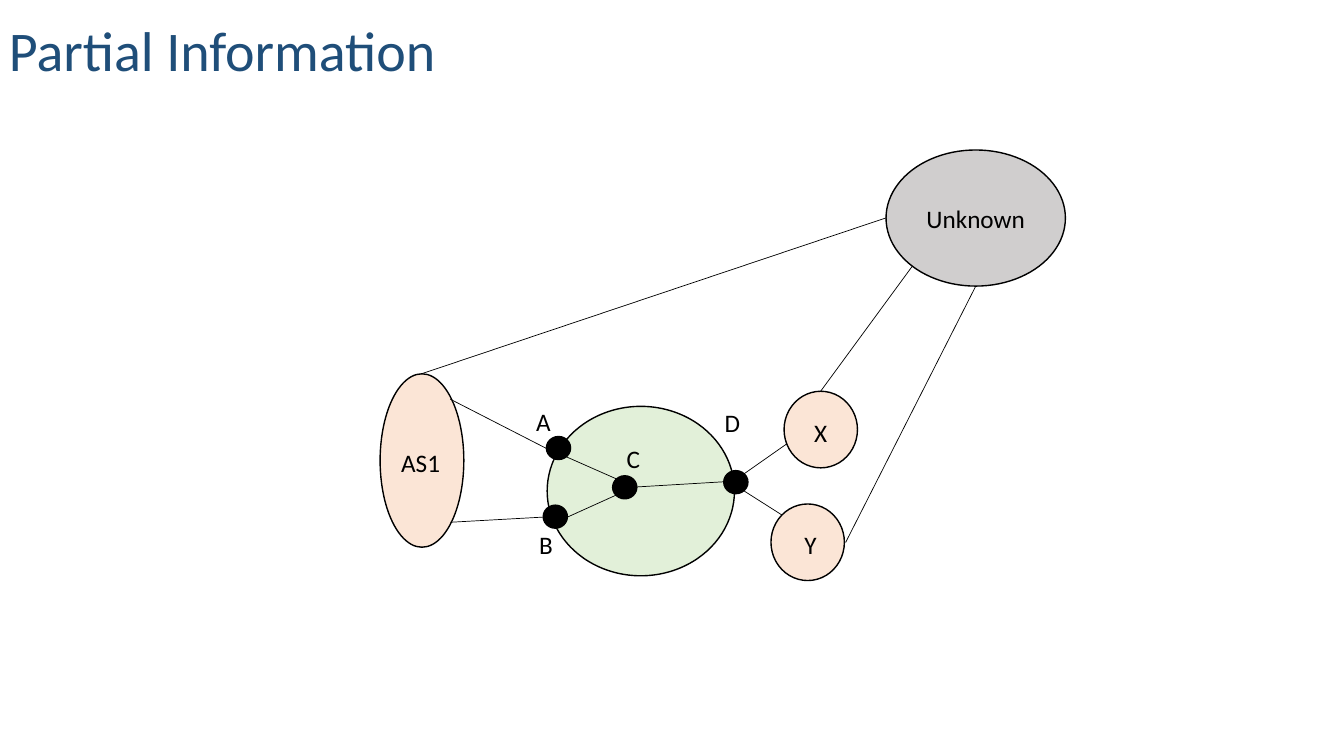
from typing import Any, NamedTuple

import pptx
import pptx.dml.color
import pptx.enum.shapes
import pptx.enum.text
import pptx.oxml
import pptx.util
from pptx.util import Cm

BLACK, GREEN, PEACH, GREY = "000000", "E2F0D9", "FBE5D6", "D0CECE"
TITLE_BLUE = "1F4E79"
FONT = "Calibri"
DOT_SIZE = (0.61, 0.58)
SITE_SIZE = (1.85, 1.93)
LETTER_HEIGHT = 0.76
NAME_HEIGHT = 1.02


class Oval(NamedTuple):
    left: float
    top: float
    width: float
    height: float
    fill: str
    text: str = ""


class Link(NamedTuple):
    x1: float
    y1: float
    x2: float
    y2: float


class Label(NamedTuple):
    text: str
    left: float
    top: float
    width: float
    height: float


NETWORK = [
    Oval(13.79, 10.24, 4.72, 4.27, GREEN),
    Oval(18.24, 11.86, *DOT_SIZE, BLACK),
    Oval(13.77, 11.0, *DOT_SIZE, BLACK),
    Oval(13.69, 12.73, *DOT_SIZE, BLACK),
    Oval(15.44, 11.99, *DOT_SIZE, BLACK),
    Oval(9.58, 9.42, 2.11, 4.37, PEACH),
]
LINKS = [
    Link(13.77, 11.3, 11.35, 10.06),
    Link(13.69, 13.03, 11.35, 13.16),
    Link(20.09, 11.0, 18.75, 11.94),
    Link(15.54, 12.47, 14.3, 13.03),
    Link(15.54, 12.07, 14.27, 11.51),
    Link(18.24, 12.14, 16.05, 12.27),
    Link(19.71, 12.98, 18.75, 12.37),
    Link(22.33, 5.49, 10.62, 9.42),
    Link(22.99, 6.71, 20.68, 9.86),
    Link(24.59, 7.21, 21.31, 13.67),
]
NEIGHBOURS = [
    Oval(19.76, 9.86, *SITE_SIZE, PEACH),
    Oval(19.43, 12.7, *SITE_SIZE, PEACH),
    Oval(22.33, 3.78, 4.52, 3.43, GREY, "Unknown"),
]
LABELS = [
    Label("AS1", 9.86, 11.15, 1.5, NAME_HEIGHT),
    Label("A", 13.26, 10.11, 0.71, LETTER_HEIGHT),
    Label("C", 15.54, 11.05, 0.69, LETTER_HEIGHT),
    Label("B", 13.34, 13.21, 0.71, LETTER_HEIGHT),
    Label("D", 18.01, 10.13, 0.74, LETTER_HEIGHT),
    Label("X", 20.27, 10.39, 0.84, NAME_HEIGHT),
    Label("Y", 20.02, 13.21, 0.84, NAME_HEIGHT),
]


def colour(value: str) -> pptx.dml.color.RGBColor:
    return pptx.dml.color.RGBColor.from_string(value)


def write(frame: Any, text: str, *, size: float = 18, color: str = BLACK,
          align: Any = pptx.enum.text.PP_ALIGN.LEFT,
          anchor: Any = pptx.enum.text.MSO_ANCHOR.TOP,
          spacing: float = 1.0, wrap: bool = True,
          auto_size: Any = pptx.enum.text.MSO_AUTO_SIZE.NONE) -> None:
    frame.word_wrap = wrap
    frame.auto_size = auto_size
    frame.vertical_anchor = anchor
    para = frame.paragraphs[0]
    para.alignment = align
    para.line_spacing = spacing
    span = para.add_run()
    span.text = text
    span.font.name = FONT
    span.font.size = pptx.util.Pt(size)
    span.font.color.rgb = colour(color)


def add_title(page: Any, text: str) -> None:
    title = page.shapes.title
    title.left, title.top = Cm(-0.03), Cm(-0.13)
    title.width, title.height = Cm(16.69), Cm(2.36)
    write(title.text_frame, text, size=40, color=TITLE_BLUE, spacing=0.9,
          anchor=pptx.enum.text.MSO_ANCHOR.BOTTOM)


def add_oval(page: Any, oval: Oval) -> None:
    shape = page.shapes.add_shape(
        pptx.enum.shapes.MSO_SHAPE.OVAL,
        Cm(oval.left), Cm(oval.top), Cm(oval.width), Cm(oval.height))
    shape.shadow.inherit = False
    shape.fill.solid()
    shape.fill.fore_color.rgb = colour(oval.fill)
    shape.line.color.rgb = colour(BLACK)
    shape.line.width = pptx.util.Pt(1)
    if oval.text:
        write(shape.text_frame, oval.text,
              align=pptx.enum.text.PP_ALIGN.CENTER,
              anchor=pptx.enum.text.MSO_ANCHOR.MIDDLE)


def add_link(page: Any, link: Link) -> None:
    line = page.shapes.add_connector(
        pptx.enum.shapes.MSO_CONNECTOR.STRAIGHT,
        Cm(link.x1), Cm(link.y1), Cm(link.x2), Cm(link.y2))
    line.line.color.rgb = colour(BLACK)
    line.line.width = pptx.util.Pt(0.5)
    line._element.spPr.append(pptx.oxml.parse_xml(
        '<a:effectLst xmlns:a='
        '"http://schemas.openxmlformats.org/drawingml/2006/main"/>'))


def add_label(page: Any, label: Label) -> None:
    box = page.shapes.add_textbox(
        Cm(label.left), Cm(label.top), Cm(label.width), Cm(label.height))
    write(box.text_frame, label.text, wrap=False,
          auto_size=pptx.enum.text.MSO_AUTO_SIZE.SHAPE_TO_FIT_TEXT)


def main() -> None:
    deck = pptx.Presentation()
    deck.slide_width, deck.slide_height = Cm(33.87), Cm(19.05)
    page = deck.slides.add_slide(deck.slide_layouts.get_by_name("Title Only"))
    add_title(page, "Partial Information")
    for oval in NETWORK:
        add_oval(page, oval)
    for link in LINKS:
        add_link(page, link)
    for oval in NEIGHBOURS:
        add_oval(page, oval)
    for label in LABELS:
        add_label(page, label)
    deck.save("out.pptx")


if __name__ == "__main__":
    main()
